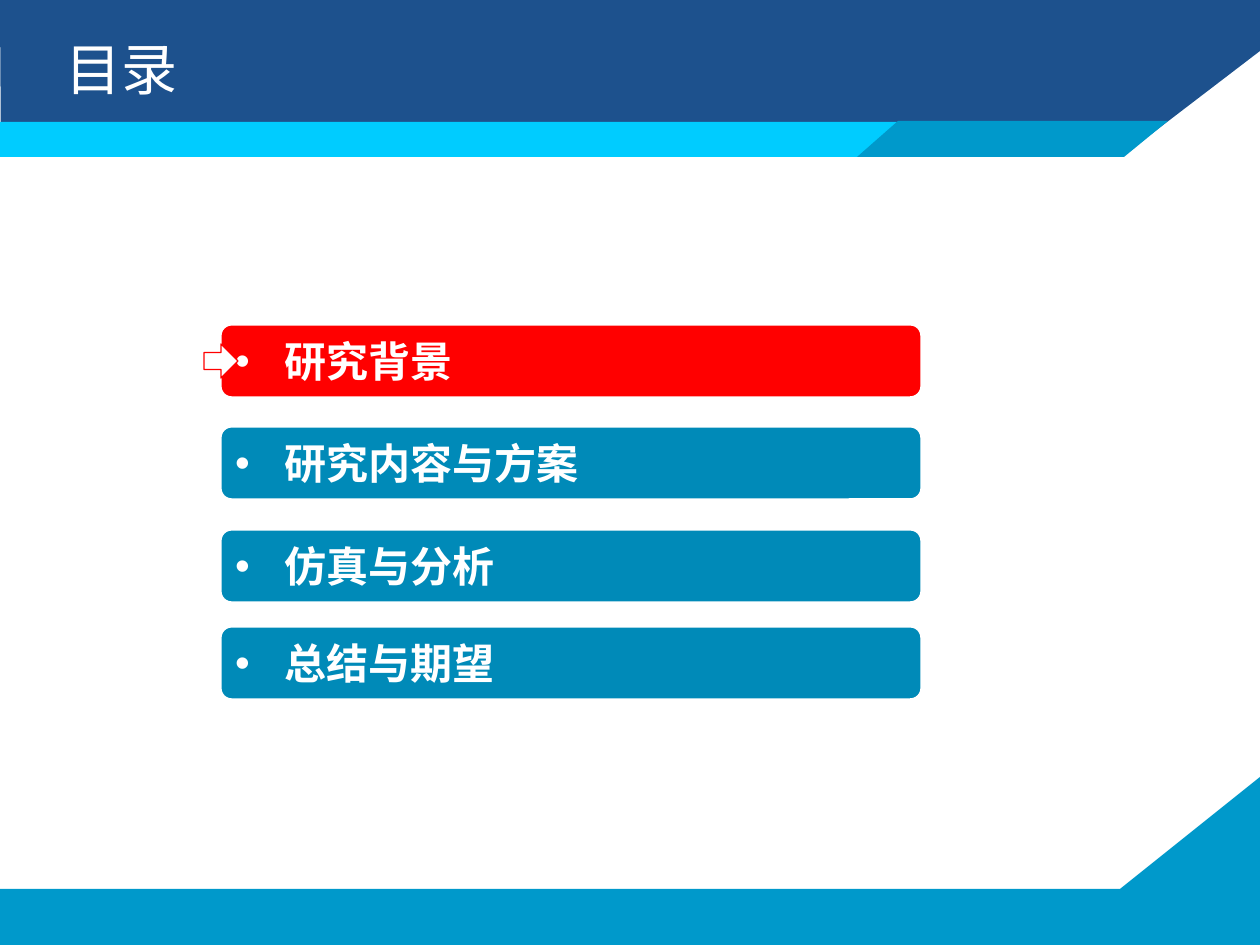
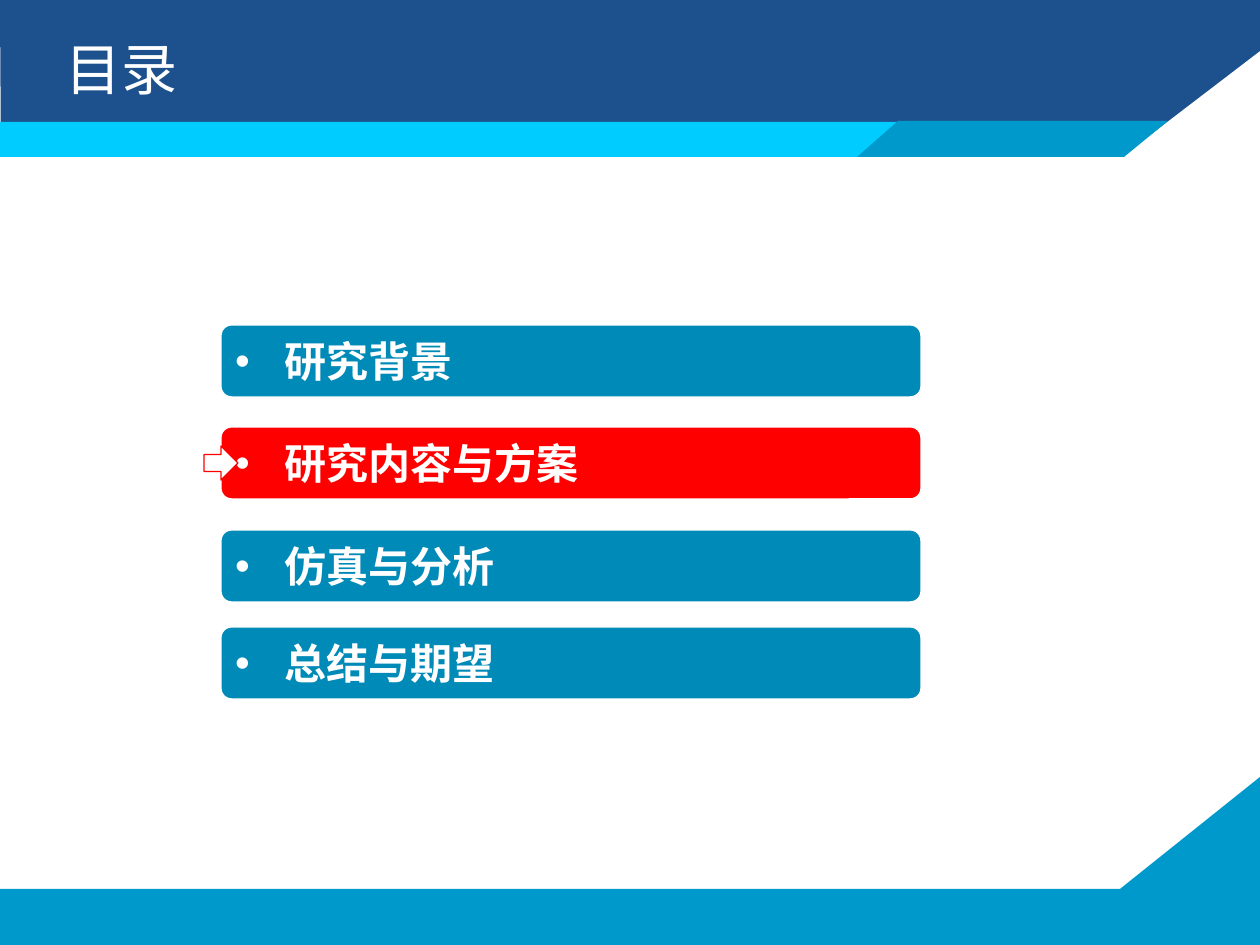
"""Builds two agenda slides, each highlighting the current section."""
from lxml.etree import SubElement
from pptx import Presentation
from pptx.dml.color import RGBColor
from pptx.enum.shapes import MSO_SHAPE
from pptx.enum.text import MSO_ANCHOR, PP_ALIGN
from pptx.oxml.ns import qn
from pptx.util import Emu, Pt

PX = 914400 / 126
WIDTH, HEIGHT = 1260, 945
FONT = "Noto Sans CJK SC"
WHITE = RGBColor(0xFF, 0xFF, 0xFF)
NAVY = RGBColor(0x1D, 0x51, 0x8D)
CYAN = RGBColor(0x00, 0xCC, 0xFF)
BLUE = RGBColor(0x00, 0x99, 0xCB)
TEAL = RGBColor(0x00, 0x8A, 0xB8)
RED = RGBColor(0xFF, 0x00, 0x00)

FOOTER = [(0, 889), (1120, 889), (WIDTH, 777), (WIDTH, HEIGHT), (0, HEIGHT)]
HEADER = [(0, 0), (WIDTH, 0), (WIDTH, 51), (1124, 155), (1, 156)]
SLANT = [(857, 157), (1124, 157), (1168, 121), (898, 121)]

BAR_LEFT, BAR_WIDTH, BAR_HEIGHT = 219, 704, 76
ARROW_LEFT, ARROW_SIZE = 204, 34
SECTIONS = [(323, "研究背景"), (425, "研究内容与方案"), (528, "仿真与分析"), (625, "总结与期望")]


def paint(shape, fill, line=None, line_width=0):
    shape.shadow.inherit = False
    shape.fill.solid()
    shape.fill.fore_color.rgb = fill
    if line is None:
        shape.line.fill.background()
    else:
        shape.line.color.rgb = line
        shape.line.width = Pt(line_width)


def write(shape, text, size, bold):
    shape.text_frame.word_wrap = True
    shape.text_frame.vertical_anchor = MSO_ANCHOR.MIDDLE
    para = shape.text_frame.paragraphs[0]
    para.text = text
    para.alignment = PP_ALIGN.LEFT
    if bold:
        properties = para._p.get_or_add_pPr()
        indent = round(49 * PX)
        properties.set("marL", str(indent))
        properties.set("indent", str(-indent))
        color = SubElement(properties, qn("a:buClr"))
        SubElement(color, qn("a:srgbClr"), val=str(WHITE))
        SubElement(properties, qn("a:buFont"), typeface="Arial")
        SubElement(properties, qn("a:buChar"), char="•")
    para.font.size = Pt(size)
    para.font.bold = bold
    para.font.color.rgb = WHITE
    para.font.name = FONT
    SubElement(para._p.pPr.find(qn("a:defRPr")), qn("a:ea"), typeface=FONT)


deck = Presentation()
deck.slide_width, deck.slide_height = Emu(round(WIDTH * PX)), Emu(round(HEIGHT * PX))

for current in range(2):
    page = deck.slides.add_slide(deck.slide_layouts[6])

    for outline, color in [(FOOTER, BLUE), (HEADER, NAVY), (SLANT, BLUE)]:
        if outline is SLANT:
            stripe = page.shapes.add_shape(
                MSO_SHAPE.RECTANGLE, *[Emu(round(v * PX)) for v in (0, 122, 1063, 35)])
            paint(stripe, CYAN)
        builder = page.shapes.build_freeform(*outline[0], scale=PX)
        builder.add_line_segments(outline[1:], close=True)
        paint(builder.convert_to_shape(), color)

    title = page.shapes.add_textbox(*[Emu(round(v * PX)) for v in (53, 21, 935, 95)])
    write(title, "目录", 32, False)

    for index, (top, name) in enumerate(SECTIONS):
        bar = page.shapes.add_shape(
            MSO_SHAPE.ROUNDED_RECTANGLE,
            *[Emu(round(v * PX)) for v in (BAR_LEFT, top, BAR_WIDTH, BAR_HEIGHT)])
        paint(bar, RED if index == current else TEAL, WHITE, 3)
        write(bar, name, 24, True)

    arrow_top = SECTIONS[current][0] + (BAR_HEIGHT - ARROW_SIZE) // 2
    arrow = page.shapes.add_shape(
        MSO_SHAPE.RIGHT_ARROW,
        *[Emu(round(v * PX)) for v in (ARROW_LEFT, arrow_top, ARROW_SIZE, ARROW_SIZE)])
    paint(arrow, WHITE, RED, 0.75)

deck.save("out.pptx")
